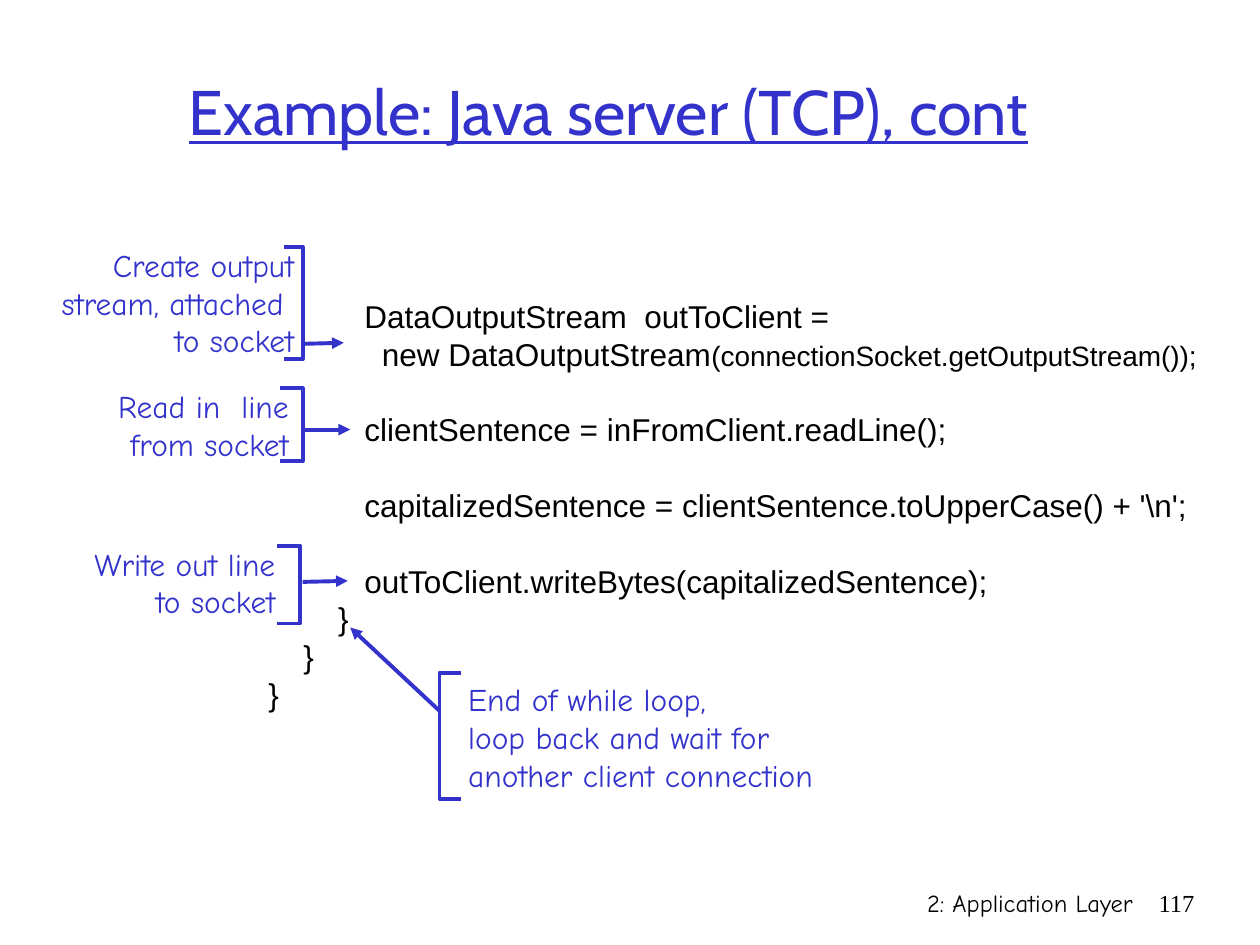
from lxml.etree import SubElement as Sub
from pptx import Presentation
from pptx.dml.color import RGBColor
from pptx.enum.shapes import MSO_CONNECTOR as Link
from pptx.enum.text import MSO_ANCHOR as Anchor, PP_ALIGN as Align
from pptx.oxml.ns import qn
from pptx.util import Cm, Pt

BLUE, BLACK = "3333CC", "000000"
HAND, SANS, SERIF, HEAD = "Comic Neue", "Arial", "Times New Roman", "Cabin"
LINE = Pt(21.6)


def color(text):
    return RGBColor.from_string(text)


class Deck:
    def __init__(self):
        self.prs = Presentation()
        self.prs.slide_width, self.prs.slide_height = Cm(25.4), Cm(19.05)
        self.slide = self.prs.slides.add_slide(self.prs.slide_layouts[5])
        self.shapes = self.slide.shapes

    def style(self, run, face, size, tone):
        run.font.name, run.font.size = face, Pt(size)
        run.font.color.rgb = color(tone)

    def title(self, text, *box):
        head = self.shapes.title
        head.left, head.top, head.width, head.height = map(Cm, box)
        head.text_frame.text = text
        head.text_frame.vertical_anchor = Anchor.MIDDLE
        para = head.text_frame.paragraphs[0]
        para.alignment = Align.CENTER
        self.style(para.runs[0], HEAD, 36, BLUE)
        para.runs[0].font.underline = True

    def text(self, text, *box, face=HAND, size=18, tone=BLUE,
             align=Align.RIGHT, anchor=Anchor.MIDDLE):
        frame = self.shapes.add_textbox(*map(Cm, box)).text_frame
        frame.word_wrap = True
        frame.vertical_anchor = anchor
        # Leave spare room on the ragged side
        if align == Align.RIGHT:
            frame.margin_left = 0
        else:
            frame.margin_right = 0
        frame.text = text
        for para in frame.paragraphs:
            para.alignment = align
            if size == 18:
                para.line_spacing = LINE
            for run in para.runs:
                self.style(run, face, size, tone)
        return frame

    def stroke(self, shape):
        shape.line.color.rgb = color(BLUE)
        shape.line.width = Pt(2.25)

    def brace(self, tip, spine, top, base):
        """Square bracket whose arms run from the spine to the tip."""
        pen = self.shapes.build_freeform(Cm(tip), Cm(top))
        ends = [(spine, top), (spine, base), (tip, base)]
        pen.add_line_segments([(Cm(x), Cm(y)) for x, y in ends], close=False)
        shape = pen.convert_to_shape()
        shape.shadow.inherit = False
        shape.fill.background()
        self.stroke(shape)

    def arrow(self, *ends):
        link = self.shapes.add_connector(Link.STRAIGHT, *map(Cm, ends))
        self.stroke(link)
        Sub(link.line._get_or_add_ln(), qn("a:tailEnd"), type="triangle")
        Sub(link._element.spPr, qn("a:effectLst"))


def main():
    deck = Deck()
    deck.title("Example: Java server (TCP), cont", 1.47, 0.64, 21.59, 3.18)

    # Footer
    deck.text("2: Application Layer", 15.04, 17.78, 8.05, 1.27,
              size=14, tone=BLACK, anchor=Anchor.TOP)
    deck.text("117", 23.06, 17.78, 1.27, 1.27,
              face=SERIF, size=14, tone=BLACK, anchor=Anchor.TOP)

    # Java code
    lines = [
        "           DataOutputStream  outToClient =",
        "             new DataOutputStream",
        "           clientSentence = inFromClient.readLine();",
        "           capitalizedSentence = clientSentence.toUpperCase() + '\\n';",
        "           outToClient.writeBytes(capitalizedSentence);",
        "        }",
        "    }",
        "}",
    ]
    code = deck.text("\n".join(lines), 5.16, 4.5, 19.41, 11.02, face=SANS,
                     tone=BLACK, align=Align.LEFT, anchor=Anchor.TOP)
    code.margin_top = Cm(1.49)
    for para in code.paragraphs[2:5]:
        para.space_before = LINE
    call = code.paragraphs[1].add_run()
    call.text = "(connectionSocket.getOutputStream());"
    deck.style(call, SANS, 16, BLACK)

    # Notes: text, box, bracket, arrow
    notes = [
        ("Create output\nstream, attached \nto socket", (0.36, 4.83, 5.82, 2.54),
         (5.72, 6.1, 4.98, 7.24), (6.15, 6.93, 6.93, 6.91), Align.RIGHT),
        ("Read in  line\nfrom socket", (2.13, 7.67, 3.94, 1.78),
         (5.64, 6.1, 7.82, 9.3), (6.15, 8.66, 7.06, 8.66), Align.RIGHT),
        ("Write out line\nto socket", (1.63, 10.85, 4.17, 1.78),
         (5.59, 6.05, 11, 12.57), (6.1, 11.73, 7.01, 11.71), Align.RIGHT),
        ("End of while loop,\nloop back and wait for\nanother client connection",
         (9.19, 13.59, 7.47, 2.54),
         (9.3, 8.86, 13.56, 16.1), (8.86, 14.33, 7.06, 12.65), Align.LEFT),
    ]
    for text, box, brace, arrow, align in notes:
        deck.text(text, *box, align=align)
        deck.brace(*brace)
        deck.arrow(*arrow)

    deck.prs.save("out.pptx")


if __name__ == "__main__":
    main()
